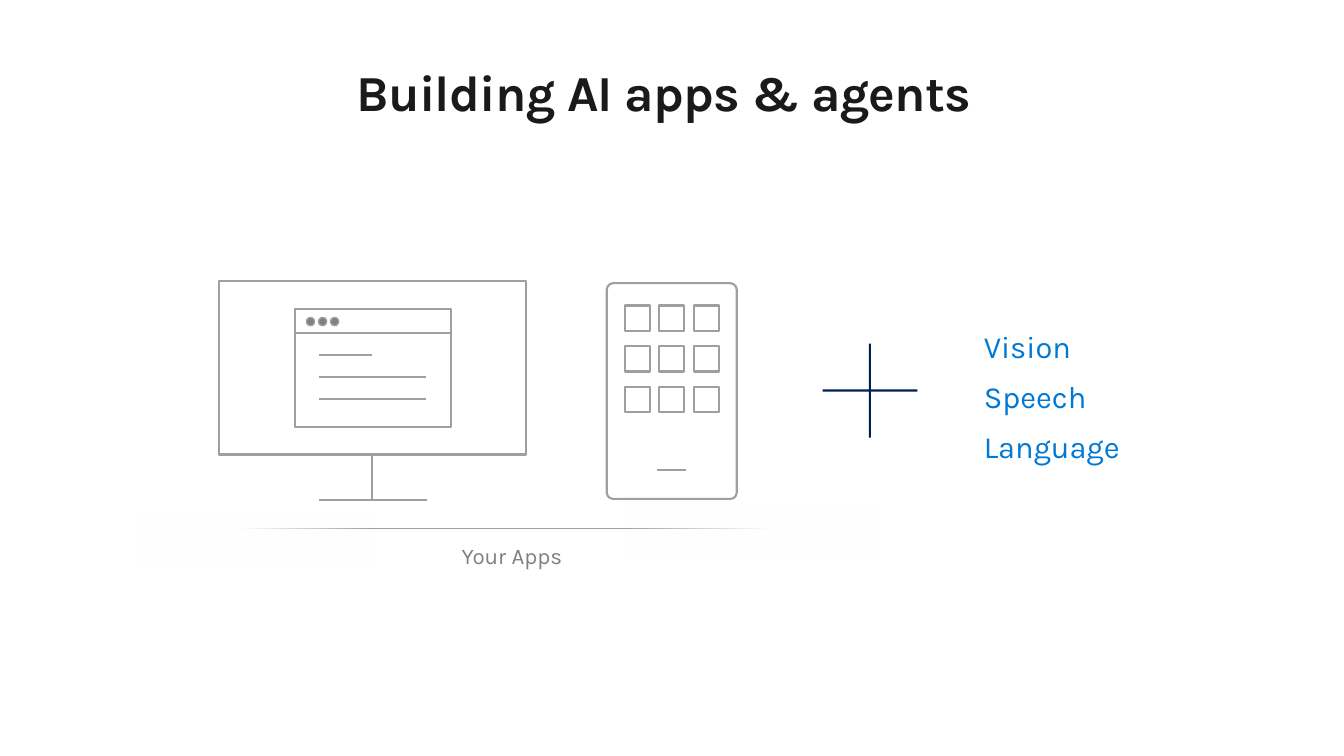
from lxml.etree import SubElement
from pptx import Presentation
from pptx.dml.color import RGBColor
from pptx.enum.shapes import MSO_CONNECTOR, MSO_SHAPE
from pptx.enum.text import MSO_ANCHOR, MSO_AUTO_SIZE, PP_ALIGN
from pptx.oxml.ns import qn
from pptx.util import Pt

TITLE = "Building AI apps & agents"
CAPTION = "Your Apps"
CAPABILITIES = ["Vision", "Speech", "Language"]
COLORS = {
    "title": "1A1A1A",
    "capability": "0078D4",
    "plus": "002050",
    "outline": "9F9F9F",
    "muted": "808080",
    "paper": "FFFFFF",
}
FONT = "Karla"

MONITOR = (156.2, 200.9, 219.6, 123.8)
STAND_FOOT = (228.2, 305.3, 357.1)
BROWSER = (211, 221, 110.9, 84.2)
BROWSER_BAR = 16.8
BROWSER_DOT = 5.8
BROWSER_DOT_STEP = 8.6
BROWSER_TEXT_WIDTHS = [38, 77, 77]
BROWSER_TEXT_STEP = 15.8
PHONE = (433.4, 202.3, 92.9, 154.1)
APP_GRID = (446.4, 218.2)
APP_SIZE = 18
APP_STEP = (24.5, 29.2)
APP_COUNT = 3
HOME_BAR = (469.4, 490.3, 335.5)
BASELINE = (141.1, 554.4, 377.3)
FADES = [((99.4, 369.4, 166.3, 36), 0), ((446.4, 360, 182.2, 36), 180)]

deck = Presentation()
deck.slide_width, deck.slide_height = Pt(960), Pt(540)
slide = deck.slides.add_slide(deck.slide_layouts[6])


def color(key):
    return RGBColor.from_string(COLORS[key])


def add_text(paragraphs, box, size, ink, inset=(14.4, 11.5), bold=False, spacing=None,
             align=PP_ALIGN.LEFT, anchor=MSO_ANCHOR.TOP, line=1.0, before=0, grow=False):
    label = slide.shapes.add_textbox(*map(Pt, box))
    frame = label.text_frame
    frame.word_wrap = True
    frame.auto_size = MSO_AUTO_SIZE.SHAPE_TO_FIT_TEXT if grow else MSO_AUTO_SIZE.NONE
    frame.vertical_anchor = anchor
    frame.margin_left = frame.margin_right = Pt(inset[0])
    frame.margin_top = frame.margin_bottom = Pt(inset[1])
    for index, words in enumerate(paragraphs):
        paragraph = frame.paragraphs[0] if index == 0 else frame.add_paragraph()
        paragraph.alignment = align
        paragraph.line_spacing = line
        if index:
            paragraph.space_before = Pt(before)
        run = paragraph.add_run()
        run.text = words
        run.font.name, run.font.size, run.font.bold = FONT, Pt(size), bold
        run.font.color.rgb = color(ink)
        if spacing is not None:
            run.font._element.set("spc", str(round(spacing * 100)))


def add_figure(kind, box, fill=None, outline=None, width=1.5):
    figure = slide.shapes.add_shape(kind, *map(Pt, box))
    figure.shadow.inherit = False
    if fill:
        figure.fill.solid()
        figure.fill.fore_color.rgb = color(fill)
    else:
        figure.fill.background()
    if outline:
        figure.line.color.rgb = color(outline)
        figure.line.width = Pt(width)
    else:
        figure.line.fill.background()
    return figure


def add_line(x1, y1, x2, y2, width=1.5):
    rule = slide.shapes.add_connector(MSO_CONNECTOR.STRAIGHT, *map(Pt, (x1, y1, x2, y2)))
    rule.line.color.rgb = color("outline")
    rule.line.width = Pt(width)
    SubElement(rule._element.spPr, qn("a:effectLst"))
    return rule


def add_fade(box, rotation):
    fade = add_figure(MSO_SHAPE.RECTANGLE, box)
    fade.rotation = rotation
    fade.fill.gradient()
    fade.fill.gradient_angle = 0
    for stop, position in zip(fade.fill.gradient_stops, (0.43, 1)):
        stop.position = position
        stop.color.rgb = color("paper")
    clear_end = fade._element.findall(".//" + qn("a:gs"))[-1]
    SubElement(clear_end.find(qn("a:srgbClr")), qn("a:alpha"), val="0")


def draw_monitor():
    left, top, width, height = MONITOR
    foot_left, foot_right, foot_y = STAND_FOOT
    center = left + width / 2
    screen = add_figure(MSO_SHAPE.RECTANGLE, MONITOR, outline="outline")
    stand = add_line(center, top + height, center, foot_y)
    stand.begin_connect(screen, 2)
    add_line(foot_left, foot_y, foot_right, foot_y)


def draw_browser():
    left, top, width, _ = BROWSER
    bar_y = top + BROWSER_BAR
    add_figure(MSO_SHAPE.RECTANGLE, BROWSER, outline="outline")
    add_line(left, bar_y, left + width, bar_y)
    for index in range(3):
        dot = (left + 7.9 + index * BROWSER_DOT_STEP, top + 5.8, BROWSER_DOT, BROWSER_DOT)
        add_figure(MSO_SHAPE.OVAL, dot, fill="muted", outline="outline", width=1)
    for index, length in enumerate(BROWSER_TEXT_WIDTHS):
        text_x, text_y = left + 16.6, top + 32.4 + index * BROWSER_TEXT_STEP
        add_line(text_x, text_y, text_x + length, text_y)


def draw_phone():
    body = add_figure(MSO_SHAPE.ROUNDED_RECTANGLE, PHONE, outline="outline")
    body.adjustments[0] = 0.05
    home_left, home_right, home_y = HOME_BAR
    add_line(home_left, home_y, home_right, home_y)
    for row in range(APP_COUNT):
        for column in range(APP_COUNT):
            app_x = APP_GRID[0] + column * APP_STEP[0]
            app_y = APP_GRID[1] + row * APP_STEP[1]
            add_figure(MSO_SHAPE.RECTANGLE, (app_x, app_y, APP_SIZE, APP_SIZE), outline="outline")


add_text(CAPABILITIES, (688.3, 213.8, 164.2, 130.3), 22, "capability",
         anchor=MSO_ANCHOR.BOTTOM, line=0.9, before=12)
plus = add_figure(MSO_SHAPE.MATH_PLUS, (575.3, 233.3, 92.2, 91.4), fill="plus")
plus.adjustments[0] = 0.017
draw_monitor()
draw_browser()
draw_phone()
base_left, base_right, base_y = BASELINE
add_line(base_left, base_y, base_right, base_y, width=0.5)
for fade_box, fade_rotation in FADES:
    add_fade(fade_box, fade_rotation)
add_text([CAPTION], (315.4, 378, 164.2, 25.9), 16, "muted", line=0.9)
add_text([TITLE], (40.3, 43.9, 867.6, 43.9), 36, "title", inset=(0, 0), bold=True,
         spacing=-0.5, align=PP_ALIGN.CENTER, grow=True)

deck.save("out.pptx")
